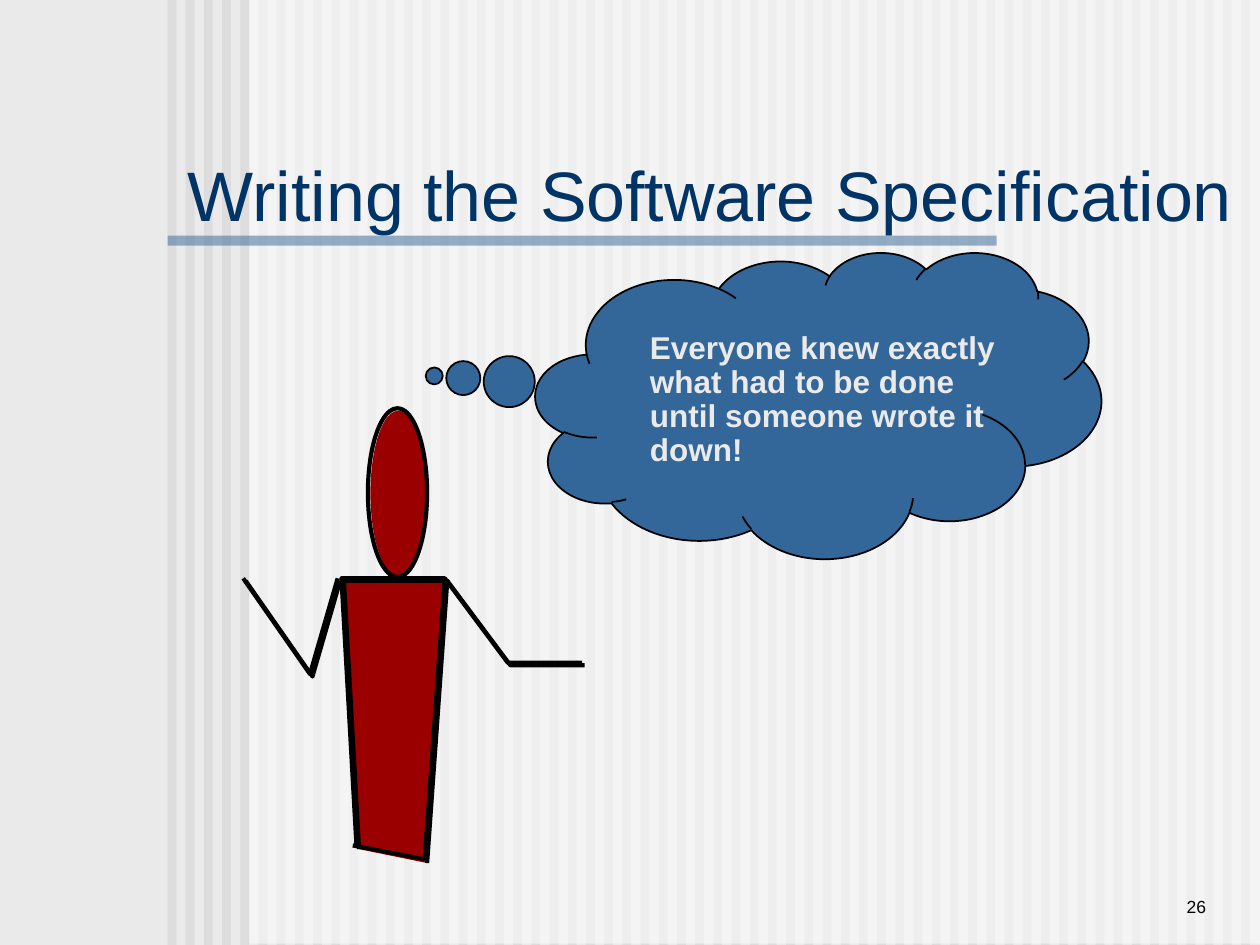
from lxml import etree
from pptx import Presentation
from pptx.dml.color import RGBColor
from pptx.enum import shapes, text
from pptx.oxml import ns
from pptx.util import Inches, Pt

TITLE = "Writing the Software Specification"
THOUGHT = "Everyone knew exactly what had to be done until someone wrote it down!"
PAGE_NUMBER = "26"

BACKGROUND, STRIPE, WHITE, BLACK = "EAEAEA", "DDDDDD", "FFFFFF", "000000"
BLUE, NAVY, RED = "336699", "003366", "9A0000"
STROKE = 2.38

STRIPE_COUNT, FIRST_STRIPE, LAST_STRIPE = 60, 1.33, 9.85
STROKE_SHIFT = 0.02  # every stroke of the figure is drawn twice, this far apart

BODY = [(2.85, 6.74), (2.73, 4.61), (3.55, 4.61), (3.39, 6.85)]
LEFT_ARM = [(2.7, 4.61), (2.48, 5.37), (1.95, 4.61)]
RIGHT_ARM = [(3.55, 4.61), (4.05, 5.28), (4.64, 5.28)]
HEM = [(2.8, 6.71), (3.37, 6.82)]


def rgb(color):
    return RGBColor.from_string(color)


def paint(shape, fill=None, alpha=None, line=None, width=STROKE):
    """Set fill, opacity in percent and outline; whatever is not given is off."""
    shape.shadow.inherit = False
    if fill:
        shape.fill.solid()
        shape.fill.fore_color.rgb = rgb(fill)
        if alpha:
            color = shape._element.spPr.find(".//" + ns.qn("a:srgbClr"))
            etree.SubElement(color, ns.qn("a:alpha"), val=str(alpha * 1000))
    else:
        shape.fill.background()
    if line:
        shape.line.color.rgb = rgb(line)
        shape.line.width = Pt(width)
    else:
        shape.line.fill.background()


def add_preset(slide, preset, box, **look):
    shape = slide.shapes.add_shape(preset, *map(Inches, box))
    paint(shape, **look)
    return shape


def add_path(slide, points, shift=0, close=False, **look):
    start, *rest = [(Inches(x - shift), Inches(y - shift)) for x, y in points]
    builder = slide.shapes.build_freeform(*start)
    builder.add_line_segments(rest, close=close)
    paint(builder.convert_to_shape(), **look)


def write(shape, words, size, color, bold=False, align=text.PP_ALIGN.LEFT,
          anchor=text.MSO_ANCHOR.TOP, inset=(0.1, 0.05), spacing=None, before=0):
    frame = shape.text_frame
    frame.word_wrap = True
    frame.auto_size = text.MSO_AUTO_SIZE.NONE
    frame.vertical_anchor = anchor
    frame.margin_left = frame.margin_right = Inches(inset[0])
    frame.margin_top = frame.margin_bottom = Inches(inset[1])
    paragraph = frame.paragraphs[0]
    paragraph.alignment = align
    paragraph.line_spacing = spacing
    paragraph.space_before = Pt(before)
    run = paragraph.add_run()
    run.text = words
    run.font.name = "Arial"
    run.font.size = Pt(size)
    run.font.bold = bold
    run.font.color.rgb = rgb(color)


def add_backdrop(slide):
    slide.background.fill.solid()
    slide.background.fill.fore_color.rgb = rgb(BACKGROUND)
    rectangle = shapes.MSO_SHAPE.RECTANGLE
    pitch = (LAST_STRIPE - FIRST_STRIPE) / (STRIPE_COUNT - 1)
    for i in range(STRIPE_COUNT):
        add_preset(slide, rectangle, (FIRST_STRIPE + i * pitch, 0, 0.07, 7.5), fill=STRIPE)
    add_preset(slide, rectangle, (1.98, -0.01, 8.02, 7.5), fill=WHITE, alpha=50)
    add_preset(slide, rectangle, (1.33, 1.87, 6.58, 0.08), fill=BLUE, alpha=50)


def add_title(slide):
    title = slide.shapes.title
    title.left, title.top, title.width, title.height = map(Inches, (1.42, 1.17, 8.44, 0.72))
    write(title, TITLE, 40, NAVY, inset=(0.07, 0.03))
    title._element.getparent().append(title._element)  # bring above the backdrop


def add_figure(slide):
    oval = shapes.MSO_SHAPE.OVAL
    add_preset(slide, oval, (2.94, 3.26, 0.44, 1.31), fill=RED)
    add_preset(slide, oval, (2.92, 3.24, 0.47, 1.34), line=BLACK)
    add_path(slide, BODY, close=True, fill=RED)
    for limb in (BODY, LEFT_ARM, RIGHT_ARM):
        for shift in (0, STROKE_SHIFT):
            add_path(slide, limb, shift, line=BLACK)
    (x1, y1), (x2, y2) = HEM
    hem = slide.shapes.add_connector(shapes.MSO_CONNECTOR.STRAIGHT,
                                     *map(Inches, (x1, y1, x2, y2)))
    hem.line.color.rgb = rgb(BLACK)
    hem.line.width = Pt(STROKE)
    etree.SubElement(hem._element.spPr, ns.qn("a:effectLst"))


def add_text_box(slide, box, words, size, color, **look):
    write(slide.shapes.add_textbox(*map(Inches, box)), words, size, color, **look)


def main():
    deck = Presentation()
    deck.slide_width, deck.slide_height = Inches(10), Inches(7.5)
    slide = deck.slides.add_slide(deck.slide_layouts[5])
    add_backdrop(slide)
    cloud = add_preset(slide, shapes.MSO_SHAPE.CLOUD_CALLOUT, (4.25, 2, 4.49, 2.43),
                       fill=BLUE, line=BLACK, width=1)
    cloud.adjustments[0], cloud.adjustments[1] = -0.679, -0.095
    add_title(slide)
    add_figure(slide)
    add_text_box(slide, (5.06, 2.59, 3.02, 1.18), THOUGHT, 18, BACKGROUND,
                 bold=True, spacing=0.9, before=11.2)
    add_text_box(slide, (8.25, 6.83, 1.42, 0.5), PAGE_NUMBER, 10, BLACK,
                 align=text.PP_ALIGN.RIGHT, anchor=text.MSO_ANCHOR.BOTTOM)
    deck.save("out.pptx")


if __name__ == "__main__":
    main()
